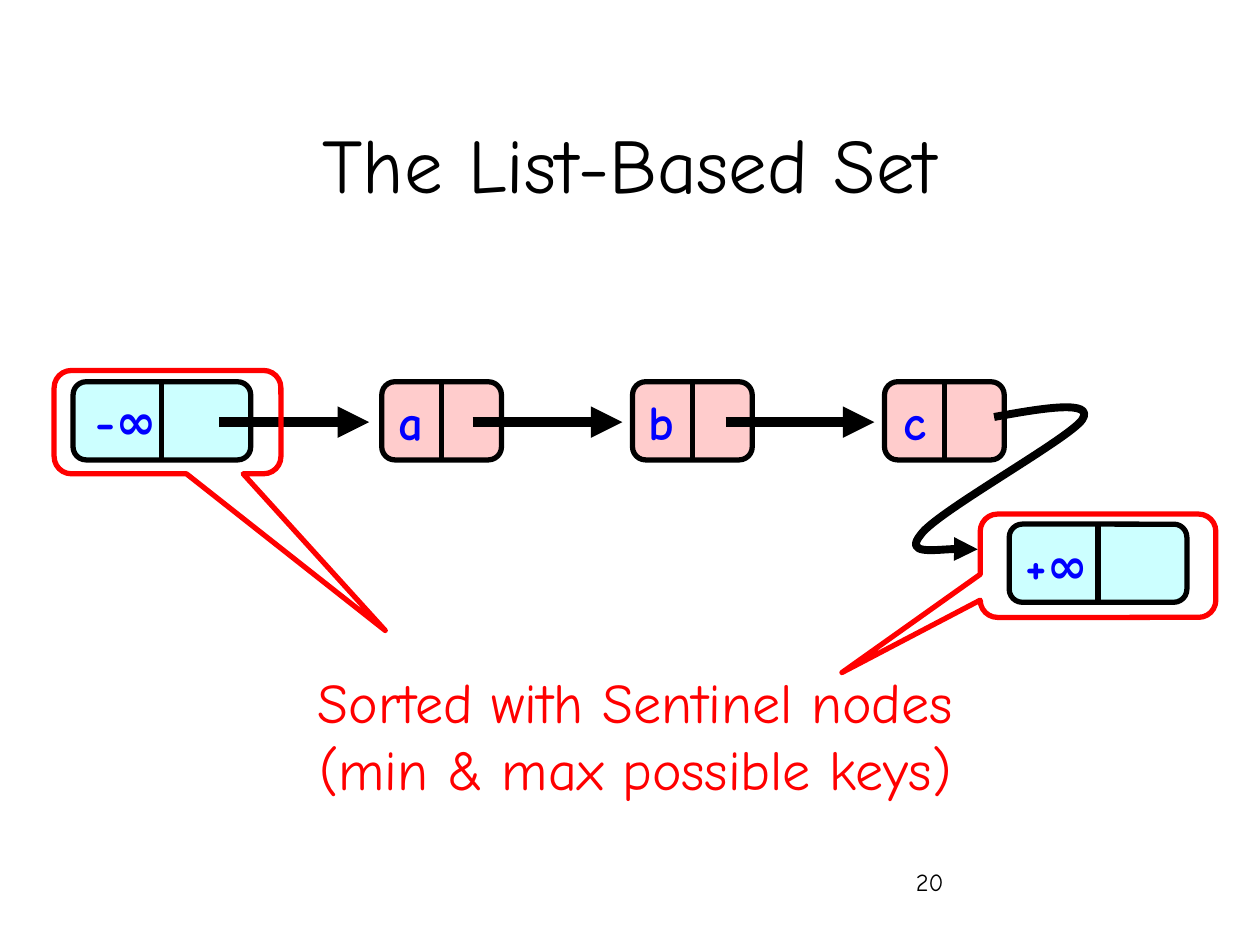
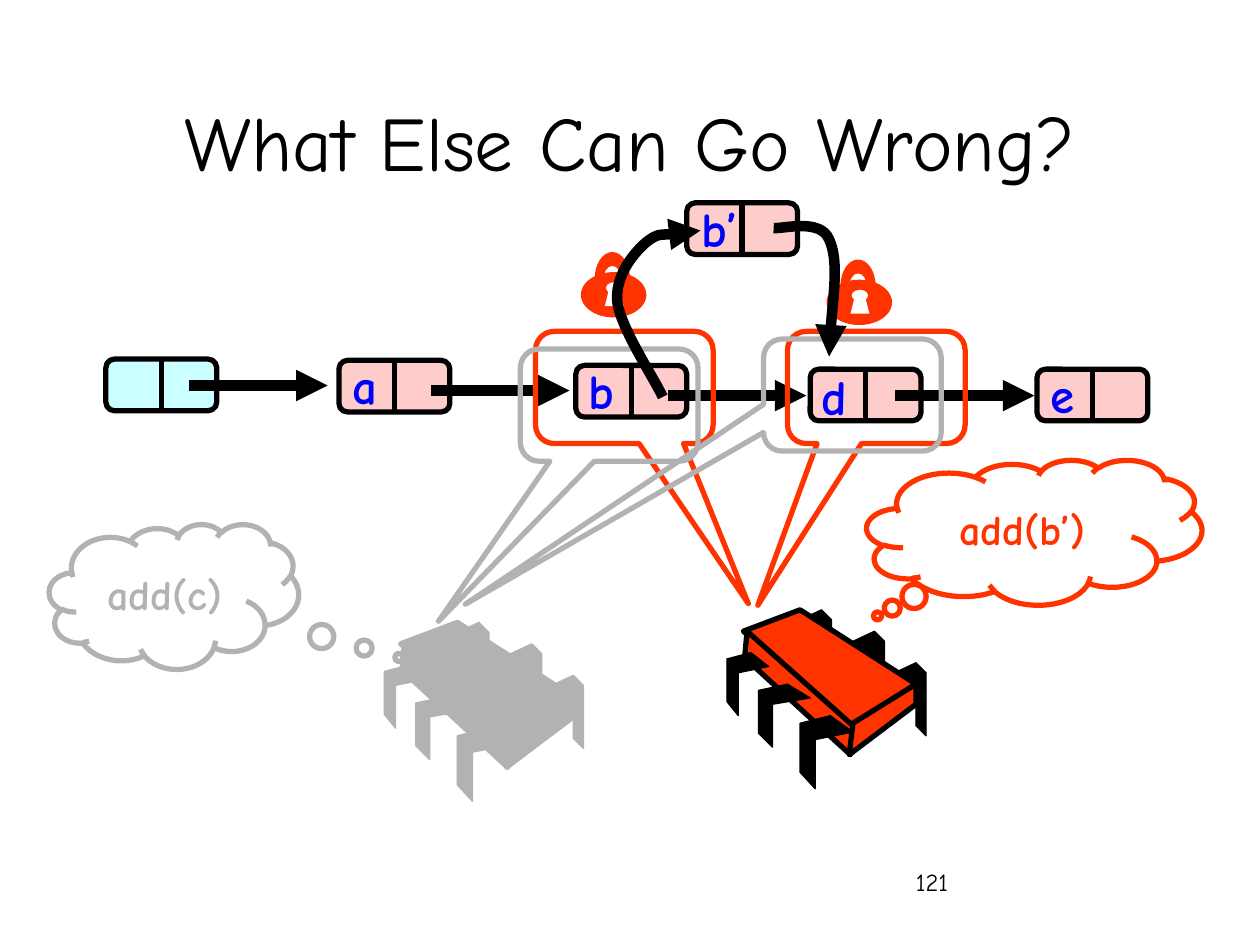
from lxml.etree import SubElement
from pptx import Presentation
from pptx.dml.color import RGBColor
from pptx.enum.shapes import MSO_CONNECTOR, MSO_SHAPE as SHAPE
from pptx.enum.text import MSO_ANCHOR as ANCHOR, MSO_AUTO_SIZE as AUTO, PP_ALIGN as ALIGN
from pptx.oxml.ns import qn
from pptx.util import Inches, Pt

FONT = "Comic Neue"
BLACK, WHITE, BLUE, RED = "000000", "FFFFFF", "0000FF", "FF0000"
CYAN, PINK, ORANGE, GRAY = "CCFFFF", "FFCCCC", "FF3300", "B2B2B2"


def write(tf, text, size, color=BLACK, bold=False, align=ALIGN.LEFT, anchor=ANCHOR.TOP,
          wrap=True, grow=False):
    tf.word_wrap = wrap
    tf.vertical_anchor = anchor
    if grow:
        tf.auto_size = AUTO.SHAPE_TO_FIT_TEXT
    for i, line in enumerate(text.split("\n")):
        p = tf.add_paragraph() if i else tf.paragraphs[0]
        p.alignment = align
        r = p.add_run()
        r.text = line
        r.font.name = FONT
        r.font.size = Pt(size)
        r.font.bold = bold
        r.font.color.rgb = RGBColor.from_string(color)


def style(sp, fill=None, line=None, width=3, ends=()):
    if fill:
        sp.fill.solid()
        sp.fill.fore_color.rgb = RGBColor.from_string(fill)
    elif hasattr(sp, "fill"):
        sp.fill.background()
    if line:
        sp.line.color.rgb = RGBColor.from_string(line)
        sp.line.width = Pt(width)
    else:
        sp.line.fill.background()
    for end in ends:
        SubElement(sp.element.spPr.find(qn("a:ln")), qn(f"a:{end}"), type="triangle")
    SubElement(sp.element.spPr, qn("a:effectLst"))


chip_legs = [
    [(x, y + 0.08), (x + 0.17, y), (x + 0.25, y + 0.08), (x + 0.25, y + h),
     (x + 0.17, y + h - 0.08), (x + 0.17, y + 0.17), (x, y + 0.25)]
    for x, y, h in [(7.1, 5.26, 0.58), (6.77, 5.01, 0.58), (6.35, 4.84, 0.5)]
]
chip_faces = [
    [(6.35, 4.84), (7.27, 5.43), (6.75, 5.77), (5.9, 5.01)],
    [(5.93, 5.01), (6.77, 5.76), (6.75, 5.99), (5.91, 5.22)],
    [(7.27, 5.43), (7.27, 5.59), (6.74, 5.99), (6.77, 5.74)],
]
chip_front_legs = [
    [(6.59, 5.68), (6.77, 5.81), (6.47, 5.87), (6.47, 6.26), (6.35, 6.13), (6.35, 5.74)],
    [(6.25, 5.43), (6.43, 5.54), (6.13, 5.59), (6.13, 5.93), (6.02, 5.82), (6.02, 5.48)],
    [(5.96, 5.18), (6.1, 5.29), (5.86, 5.34), (5.86, 5.68), (5.77, 5.57), (5.77, 5.23)],
]
shackle = [
    (0.18, 0.05), (0.18, 0), (0.21, -0.05), (0.25, -0.05), (0.29, -0.05), (0.32, 0), (0.32, 0.05),
    (0.32, 0.05), (0.39, 0.05), (0.39, 0.05),
    (0.39, -0.06), (0.33, -0.16), (0.25, -0.16), (0.17, -0.16), (0.11, -0.06), (0.11, 0.05),
]

slides = [
    dict(
        title="The List-Based Set", title_top=0.67, number="20", node_size=(1.41, 0.62),
        nodes=[
            (0.58, 3.03, 1.41, 0.62, CYAN, ("-∞", 0.58, 3.05, 0.76)),
            (3.03, 3.03, 0.95, 0.62, PINK, ("a", 3.04, 3.06, 0.42)),
            (5.02, 3.03, 0.95, 0.62, PINK, ("b", 5.02, 3.06, 0.43)),
            (7.02, 3.03, 0.95, 0.62, PINK, ("c", 7.05, 3.06, 0.4)),
            (8.01, 4.16, 1.41, 0.62, CYAN, ("+∞", 7.97, 4.19, 0.76)),
        ],
        arrows=[(1.74, 2.93, 3.35), (3.75, 4.94, 3.35), (5.76, 6.94, 3.35)],
        callouts=[
            (0.43, 2.94, 1.8, 0.82, 0.96, 2.017, RED),
            (7.78, 4.08, 1.87, 0.82, -1.087, 1.034, RED),
        ],
        curves=[
            ([(7.89, 3.31), (8.27, 3.24), (8.69, 3.17), (8.59, 3.33), (8.49, 3.48),
              (7.44, 4.06), (7.31, 4.24), (7.17, 4.41), (7.67, 4.34), (7.76, 4.36)],
             4.5, ["tailEnd"]),
        ],
        caption="Sorted with Sentinel nodes\n(min & max possible keys)",
        locks=[], chips=[], clouds=[],
    ),
    dict(
        title="What Else Can Go Wrong?", title_top=0.49, number="121",
        nodes=[
            (0.84, 2.85, 0.88, 0.41, CYAN, None),
            (2.69, 2.86, 0.88, 0.41, PINK, ("a", 2.67, 2.77, 0.42)),
            (4.57, 2.9, 0.88, 0.41, PINK, ("b", 4.54, 2.81, 0.43)),
            (6.43, 2.93, 0.88, 0.41, PINK, ("d", 6.39, 2.86, 0.43)),
            (8.23, 2.93, 0.88, 0.41, PINK, ("e", 8.21, 2.84, 0.42)),
            (5.45, 1.61, 0.88, 0.41, PINK, ("b’", 5.43, 1.53, 0.52)),
        ],
        arrows=[(1.5, 2.6, 3.06), (3.42, 4.52, 3.1), (5.3, 6.4, 3.14), (7.1, 8.21, 3.14)],
        callouts=[
            (4.25, 2.63, 1.41, 0.89, 0.698, 1.927, ORANGE),
            (6.25, 2.63, 1.41, 0.89, -0.667, 1.942, ORANGE),
            (4.13, 2.77, 1.41, 0.89, -0.961, 1.927, GRAY),
            (6.06, 2.69, 1.41, 0.89, -2.179, 1.865, GRAY),
        ],
        curves=[
            ([(6.14, 1.81), (6.21, 1.82), (6.51, 1.73), (6.58, 1.9), (6.66, 2.07),
              (6.58, 2.64), (6.58, 2.83)], 6, ["tailEnd"]),
            ([(5.56, 1.83), (5.49, 1.85), (5.23, 1.84), (5.12, 1.93), (5.01, 2.03),
              (4.88, 2.2), (4.9, 2.4), (4.93, 2.61), (5.19, 3), (5.26, 3.15)], 6, ["headEnd"]),
        ],
        caption=None,
        locks=[(6.56, 2.22), (4.61, 2.16)],
        chips=[(-2.72, 0.1, GRAY, GRAY), (0, 0, ORANGE, BLACK)],
        clouds=[
            (0.39, 4.16, 1.98, 0.902, 0.42, "add(c)", GRAY),
            (6.88, 3.65, 2.66, -0.468, 0.577, "add(b’)", ORANGE),
        ],
    ),
]

prs = Presentation()
prs.slide_width, prs.slide_height = Inches(10), Inches(7.5)

for data in slides:
    s = prs.slides.add_slide(prs.slide_layouts[5])
    title = s.shapes.title
    title.left, title.top = Inches(0.75), Inches(data["title_top"])
    title.width, title.height = Inches(8.5), Inches(1.25)
    write(title.text_frame, data["title"], 44, align=ALIGN.CENTER, anchor=ANCHOR.MIDDLE)
    number = s.shapes.add_textbox(Inches(7.17), Inches(6.83), Inches(2.08), Inches(0.5))
    write(number.text_frame, data["number"], 14)

    outlines = []
    for x, y in data["locks"]:
        for shape, dx, dy, w, h, color in [
            (SHAPE.OVAL, 0, 0, 0.52, 0.36, ORANGE),
            (SHAPE.OVAL, 0.2, 0.08, 0.13, 0.09, WHITE),
            (SHAPE.TRAPEZOID, 0.19, 0.14, 0.15, 0.13, WHITE),
        ]:
            sp = s.shapes.add_shape(shape, Inches(x + dx), Inches(y + dy), Inches(w), Inches(h))
            style(sp, color)
        outlines.append(([(x + dx, y + dy) for dx, dy in shackle], True, ORANGE, None, 0, ()))

    for dx, dy, body, edge in data["chips"]:
        for parts, fill, width in [(chip_legs, edge, 0.75), (chip_faces, body, 3),
                                   (chip_front_legs, edge, 0.75)]:
            outlines += [([(x + dx, y + dy) for x, y in pts], False, fill, edge, width, ())
                         for pts in parts]
    outlines += [(pts, True, None, BLACK, width, ends) for pts, width, ends in data["curves"]]

    for x, y, w, tip_x, tip_y, text, color in data["clouds"]:
        sp = s.shapes.add_shape(SHAPE.CLOUD_CALLOUT, Inches(x), Inches(y), Inches(w), Inches(1.15))
        sp.adjustments[0], sp.adjustments[1] = tip_x, tip_y
        style(sp, None, color)
        write(sp.text_frame, text, 24, color, bold=True, align=ALIGN.CENTER, anchor=ANCHOR.MIDDLE)

    for x, y, w, h, fill, key in data["nodes"]:
        sp = s.shapes.add_shape(SHAPE.ROUNDED_RECTANGLE, Inches(x), Inches(y), Inches(w), Inches(h))
        style(sp, fill, BLACK)
        mid = Inches(x + w / 2)
        style(s.shapes.add_connector(MSO_CONNECTOR.STRAIGHT, mid, Inches(y), mid, Inches(y + h)),
              line=BLACK)
        if key:
            text, left, top, width = key
            sp = s.shapes.add_textbox(Inches(left), Inches(top), Inches(width), Inches(0.57))
            write(sp.text_frame, text, 28, BLUE, bold=True, align=ALIGN.RIGHT, wrap=False, grow=True)

    for x1, x2, y in data["arrows"]:
        sp = s.shapes.add_connector(MSO_CONNECTOR.STRAIGHT, Inches(x1), Inches(y), Inches(x2), Inches(y))
        style(sp, line=BLACK, width=6, ends=["tailEnd"])

    for x, y, w, h, tip_x, tip_y, color in data["callouts"]:
        sp = s.shapes.add_shape(SHAPE.ROUNDED_RECTANGULAR_CALLOUT,
                                Inches(x), Inches(y), Inches(w), Inches(h))
        sp.adjustments[0], sp.adjustments[1] = tip_x, tip_y
        style(sp, None, color)

    for pts, curved, fill, line, width, ends in outlines:
        pts = [(Inches(x), Inches(y)) for x, y in pts]
        fb = s.shapes.build_freeform(*pts[0])
        fb.add_line_segments(pts[1:], close=bool(fill))
        sp = fb.convert_to_shape()
        style(sp, fill, line, width, ends)
        if curved:
            geom = next(sp.element.iter(qn("a:path")))
            steps = geom.findall(qn("a:lnTo"))
            for i in range(0, len(steps), 3):
                steps[i].tag = qn("a:cubicBezTo")
                for step in steps[i + 1:i + 3]:
                    steps[i].append(step[0])
                    geom.remove(step)

    if data["caption"]:
        sp = s.shapes.add_textbox(Inches(0.88), Inches(5.25), Inches(8.33), Inches(1.17))
        write(sp.text_frame, data["caption"], 32, RED, align=ALIGN.CENTER, grow=True)

prs.save("out.pptx")
